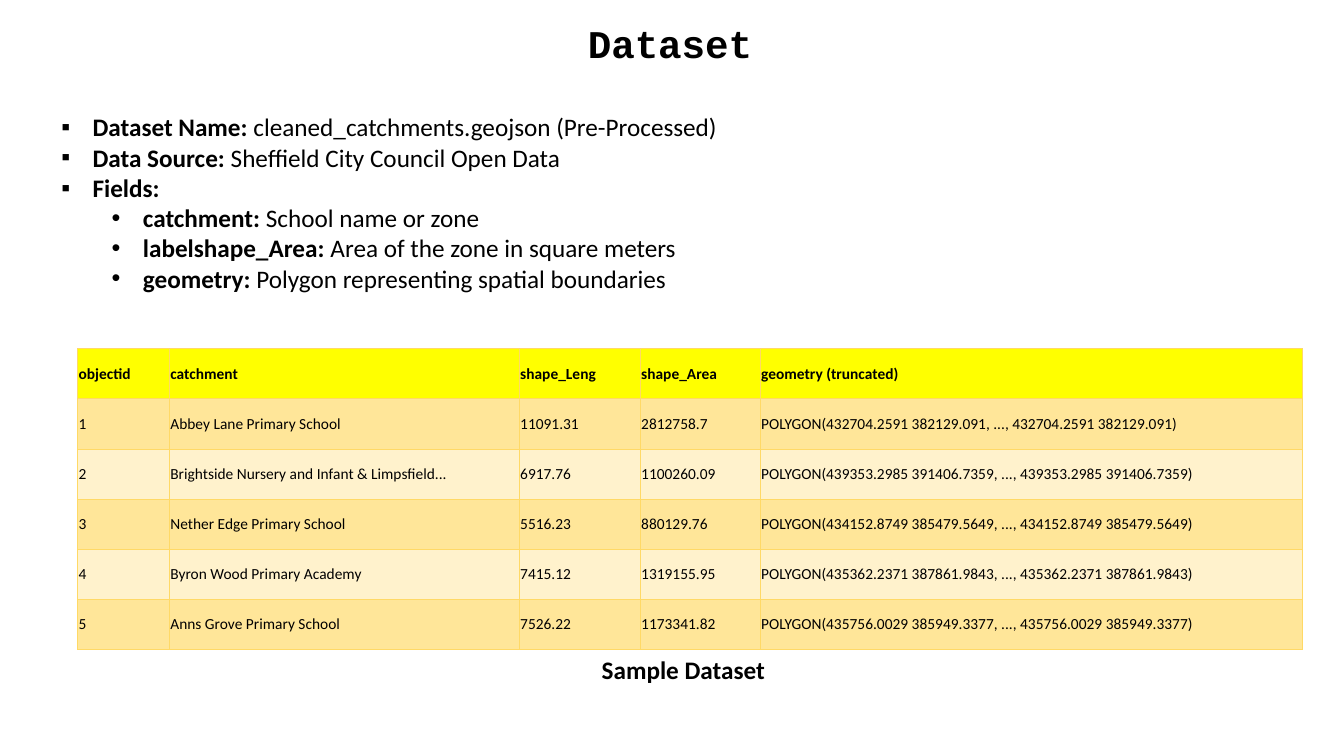
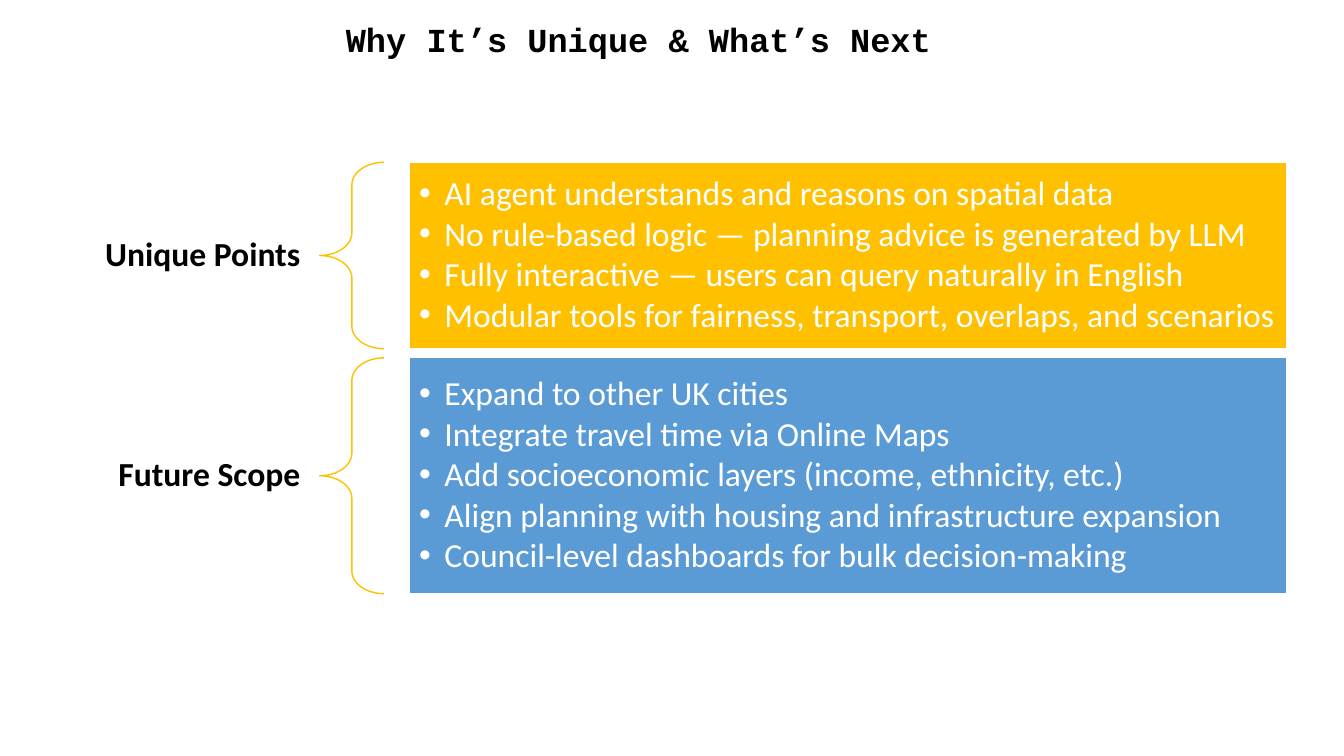
from dataclasses import dataclass

from lxml import etree
from pptx import Presentation
from pptx.dml.color import RGBColor
from pptx.enum import shapes, text
from pptx.oxml import ns
from pptx.util import Inches, Pt


@dataclass(frozen=True)
class Theme:
    ink: str = "000000"
    paper: str = "FFFFFF"
    gold: str = "FFC000"
    blue: str = "5B9BD5"
    header: str = "FFFF00"
    bands: tuple = ("FFE699", "FFF2CC")
    rule: str = "FFD966"
    title_font: str = "Courier New"
    body_font: str = "Calibri"
    title_size: int = 28
    large_size: int = 24
    body_size: int = 18
    cell_size: int = 11


THEME = Theme()

DETAILS = [
    (0, "Dataset Name:", " cleaned_catchments.geojson (Pre-Processed)"),
    (0, "Data Source:", " Sheffield City Council Open Data"),
    (0, "Fields:", ""),
    (1, "catchment:", " School name or zone"),
    (1, "labelshape_Area:", " Area of the zone in square meters"),
    (1, "geometry:", " Polygon representing spatial boundaries"),
]

COLUMNS = [("objectid", 0.91), ("catchment", 3.47), ("shape_Leng", 1.2),
           ("shape_Area", 1.19), ("geometry (truncated)", 5.38)]

SCHOOLS = [
    ("Abbey Lane Primary School", "11091.31", "2812758.7", "432704.2591 382129.091"),
    ("Brightside Nursery and Infant & Limpsfield...", "6917.76", "1100260.09",
     "439353.2985 391406.7359"),
    ("Nether Edge Primary School", "5516.23", "880129.76", "434152.8749 385479.5649"),
    ("Byron Wood Primary Academy", "7415.12", "1319155.95", "435362.2371 387861.9843"),
    ("Anns Grove Primary School", "7526.22", "1173341.82", "435756.0029 385949.3377"),
]

TOPICS = [
    ("Unique Points", THEME.gold, 1.85, [
        "AI agent understands and reasons on spatial data",
        "No rule-based logic — planning advice is generated by LLM",
        "Fully interactive — users can query naturally in English",
        "Modular tools for fairness, transport, overlaps, and scenarios",
    ]),
    ("Future Scope", THEME.blue, 2.34, [
        "Expand to other UK cities",
        "Integrate travel time via Online Maps",
        "Add socioeconomic layers (income, ethnicity, etc.)",
        "Align planning with housing and infrastructure expansion",
        "Council-level dashboards for bulk decision-making",
    ]),
]


def rgb(value):
    return RGBColor.from_string(value)


def add_bullet(paragraph, mark, left, hang):
    props = paragraph._p.get_or_add_pPr()
    props.set("marL", str(Inches(left)))
    props.set("indent", str(-Inches(hang)))
    etree.SubElement(props, ns.qn("a:buFont")).set("typeface", "Arial")
    etree.SubElement(props, ns.qn("a:buChar")).set("char", mark)


def write(paragraph, words, *, size=THEME.body_size, font=THEME.body_font,
          color=THEME.ink, bold=False, align=text.PP_ALIGN.LEFT,
          line=None, after=None, bullet=None):
    paragraph.alignment = align
    if line is not None:
        paragraph.line_spacing = line
    if after is not None:
        paragraph.space_after = Pt(after)
    if bullet and not paragraph.runs:
        add_bullet(paragraph, *bullet)
    run = paragraph.add_run()
    run.text = words
    run.font.size = Pt(size)
    run.font.name = font
    run.font.bold = bold
    run.font.color.rgb = rgb(color)


def set_frame(frame, *, anchor=text.MSO_ANCHOR.TOP, insets=(0.1, 0.05, 0.1, 0.05), wrap=True):
    frame.word_wrap = wrap
    frame.auto_size = text.MSO_AUTO_SIZE.NONE
    frame.vertical_anchor = anchor
    (frame.margin_left, frame.margin_top,
     frame.margin_right, frame.margin_bottom) = map(Inches, insets)


def paragraphs(frame, count):
    return [frame.paragraphs[0], *(frame.add_paragraph() for _ in range(count - 1))]


def text_frame(slide, box, **layout):
    frame = slide.shapes.add_textbox(*map(Inches, box)).text_frame
    set_frame(frame, **layout)
    return frame


def titled_slide(deck, words, box, size):
    slide = deck.slides.add_slide(deck.slide_layouts[5])
    title = slide.shapes.title
    title.left, title.top, title.width, title.height = map(Inches, box)
    set_frame(title.text_frame, wrap=False)
    write(title.text_frame.paragraphs[0], words, size=size,
          font=THEME.title_font, bold=True)
    return slide


def dataset_details(slide, box):
    frame = text_frame(slide, box)
    for paragraph, (level, label, value) in zip(paragraphs(frame, len(DETAILS)), DETAILS):
        paragraph.level = level
        bullet = ("▪•"[level], 0.31 + 0.5 * level, 0.31)
        write(paragraph, label, bold=True, bullet=bullet)
        if value:
            write(paragraph, value)


def border_cell(cell):
    props = cell._tc.get_or_add_tcPr()
    for side in ("lnL", "lnR", "lnT", "lnB"):
        edge = etree.SubElement(props, ns.qn(f"a:{side}"), w=str(Pt(0.5)))
        fill = etree.SubElement(edge, ns.qn("a:solidFill"))
        etree.SubElement(fill, ns.qn("a:srgbClr"), val=THEME.rule)


def sample_table(slide, box):
    rows = [[name for name, _ in COLUMNS]]
    for number, (school, length, area, point) in enumerate(SCHOOLS, 1):
        rows.append([str(number), school, length, area, f"POLYGON({point}, ..., {point})"])
    table = slide.shapes.add_table(len(rows), len(COLUMNS), *map(Inches, box)).table
    for column, (_, width) in zip(table.columns, COLUMNS):
        column.width = Inches(width)
    for index, values in enumerate(rows):
        heading = index == 0
        shade = THEME.header if heading else THEME.bands[(index - 1) % 2]
        for column, value in enumerate(values):
            cell = table.cell(index, column)
            border_cell(cell)
            cell.fill.solid()
            cell.fill.fore_color.rgb = rgb(shade)
            cell.vertical_anchor = text.MSO_ANCHOR.MIDDLE
            cell.margin_left = cell.margin_top = cell.margin_right = Inches(0.01)
            cell.margin_bottom = 0
            write(cell.text_frame.paragraphs[0], value,
                  size=THEME.cell_size, bold=heading)


def topic_row(slide, box, label, color, points):
    left, top, width, height = box
    label_width, label_height, brace_width, gap = 3.2, 0.52, 0.64, 0.25
    heading = text_frame(
        slide, (left, top + (height - label_height) / 2, label_width, label_height),
        anchor=text.MSO_ANCHOR.MIDDLE, insets=(0.19, 0.07, 0.19, 0.07))
    write(heading.paragraphs[0], label, size=THEME.large_size, bold=True,
          align=text.PP_ALIGN.RIGHT, line=0.9)

    brace_left = left + label_width
    brace = slide.shapes.add_shape(
        shapes.MSO_SHAPE.LEFT_BRACE,
        *map(Inches, (brace_left, top, brace_width, height)))
    brace.adjustments[0], brace.adjustments[1] = 0.35, 0.5
    brace.fill.background()

    panel_left = brace_left + brace_width + gap
    panel = slide.shapes.add_shape(
        shapes.MSO_SHAPE.RECTANGLE,
        *map(Inches, (panel_left, top, left + width - panel_left, height)))
    panel.fill.solid()
    panel.fill.fore_color.rgb = rgb(color)
    for shape, outline in ((brace, THEME.gold), (panel, THEME.paper)):
        shape.shadow.inherit = False
        shape.line.color.rgb = rgb(outline)
        shape.line.width = Pt(1)

    set_frame(panel.text_frame, anchor=text.MSO_ANCHOR.MIDDLE, insets=(0.1,) * 4)
    for paragraph, point in zip(paragraphs(panel.text_frame, len(points)), points):
        paragraph.level = 1
        write(paragraph, point, size=THEME.large_size, color=THEME.paper,
              line=0.9, after=3, bullet=("•", 0.25, 0.25))


def dataset_slide(deck):
    slide = titled_slide(deck, "Dataset", (5.73, 0.14, 1.88, 0.57), THEME.title_size)
    dataset_details(slide, (0.51, 1.06, 9.03, 1.92))
    sample_table(slide, (0.77, 3.46, 12.15, 2.98))
    caption = text_frame(slide, (5.87, 6.44, 1.94, 0.4), wrap=False)
    write(caption.paragraphs[0], "Sample Dataset", bold=True)


def outlook_slide(deck):
    slide = titled_slide(deck, "Why It’s Unique & What’s Next",
                         (3.33, 0.14, 6.67, 0.5), THEME.large_size)
    top, gap = 1.61, 0.09
    for label, color, height, points in TOPICS:
        topic_row(slide, (-0.03, top, 12.79, height), label, color, points)
        top += height + gap


def main():
    deck = Presentation()
    deck.slide_width, deck.slide_height = Inches(13.33), Inches(7.5)
    dataset_slide(deck)
    outlook_slide(deck)
    deck.save("out.pptx")


if __name__ == "__main__":
    main()
